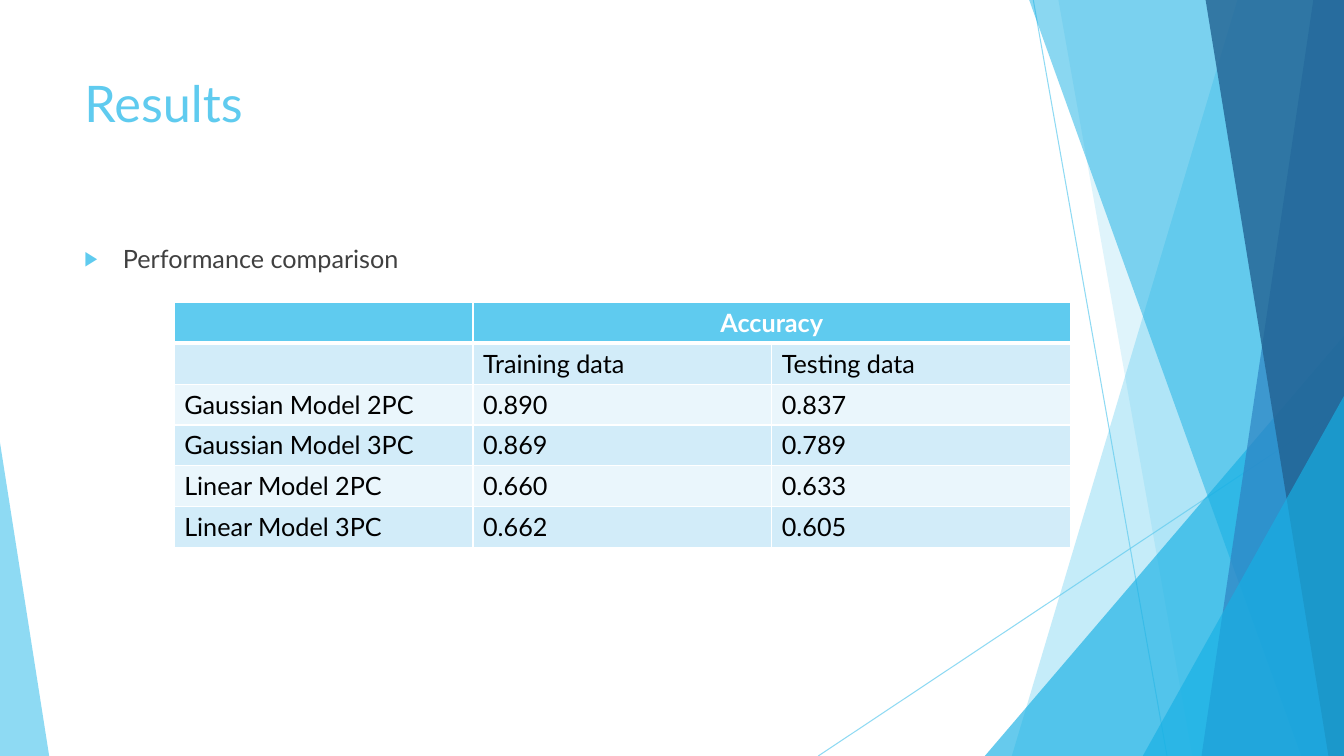
from lxml import etree
from pptx import Presentation
from pptx.dml.color import RGBColor
from pptx.enum.shapes import MSO_CONNECTOR, MSO_SHAPE
from pptx.enum.text import PP_ALIGN
from pptx.oxml.ns import qn
from pptx.util import Cm, Pt

STRAIGHT = MSO_CONNECTOR.STRAIGHT
TRIANGLE = MSO_SHAPE.ISOSCELES_TRIANGLE
CENTER = PP_ALIGN.CENTER

SKY = RGBColor(0x5F, 0xCB, 0xEF)
CYAN = RGBColor(0x17, 0xB0, 0xE4)
BLUE = RGBColor(0x2E, 0x83, 0xC3)
NAVY = RGBColor(0x22, 0x62, 0x92)
BAND_DARK = RGBColor(0xD2, 0xEC, 0xF9)
BAND_LIGHT = RGBColor(0xEA, 0xF6, 0xFC)
GRAY = RGBColor(0x40, 0x40, 0x40)
BLACK = RGBColor(0, 0, 0)
WHITE = RGBColor(255, 255, 255)

FONT = "Lato"
WIDTH, HEIGHT = 33.87, 19.05
BAND_TOP = -0.02

ROWS = [
    ("", "Accuracy", ""),
    ("", "Training data", "Testing data"),
    ("Gaussian Model 2PC", "0.890", "0.837"),
    ("Gaussian Model 3PC", "0.869", "0.789"),
    ("Linear Model 2PC", "0.660", "0.633"),
    ("Linear Model 3PC", "0.662", "0.605"),
]


def set_opacity(fill, percent):
    color = fill._xPr.find(qn("a:solidFill"))[0]
    etree.SubElement(color, qn("a:alpha"), val=str(percent * 1000))


def paint(shape, color, opacity):
    shape.shadow.inherit = False
    shape.fill.solid()
    shape.fill.fore_color.rgb = color
    set_opacity(shape.fill, opacity)
    shape.line.fill.background()


def add_band(slide, top_x, bottom_x, color, opacity):
    """Fill from a slanted left edge to the right side of the slide."""
    builder = slide.shapes.build_freeform(Cm(top_x), Cm(BAND_TOP))
    corners = [(WIDTH, BAND_TOP), (WIDTH, HEIGHT), (bottom_x, HEIGHT)]
    builder.add_line_segments([(Cm(x), Cm(y)) for x, y in corners])
    paint(builder.convert_to_shape(), color, opacity)


def add_triangle(slide, left, top, width, apex, color, opacity):
    """Add a triangle that stands on the bottom edge of the slide."""
    shape = slide.shapes.add_shape(
        TRIANGLE, Cm(left), Cm(top), Cm(width), Cm(HEIGHT - top))
    shape.adjustments[0] = apex
    paint(shape, color, opacity)


def add_thin_line(slide, x1, y1, x2, y2):
    connector = slide.shapes.add_connector(
        STRAIGHT, Cm(x1), Cm(y1), Cm(x2), Cm(y2))
    connector.line.width = Pt(0.75)
    connector.line.color.rgb = SKY
    set_opacity(connector.line.fill, 70)
    etree.SubElement(connector._element.spPr, qn("a:effectLst"))


def add_run(paragraph, text, size, color, bold=False):
    run = paragraph.add_run()
    run.text = text
    run.font.name = FONT
    run.font.size = Pt(size)
    run.font.bold = bold
    run.font.color.rgb = color


def add_text(slide, top, height, text, size, color):
    box = slide.shapes.add_textbox(Cm(1.88), Cm(top), Cm(23.88), Cm(height))
    box.text_frame.word_wrap = True
    paragraph = box.text_frame.paragraphs[0]
    add_run(paragraph, text, size, color)
    return paragraph


def add_bullet(paragraph):
    paragraph.space_before = Pt(10)
    properties = paragraph._p.get_or_add_pPr()
    properties.set("marL", str(Cm(0.97)))
    properties.set("indent", str(-Cm(0.97)))
    color = etree.SubElement(properties, qn("a:buClr"))
    etree.SubElement(color, qn("a:srgbClr"), val=str(SKY))
    etree.SubElement(properties, qn("a:buSzPct"), val="80000")
    etree.SubElement(properties, qn("a:buFont"), typeface=FONT)
    etree.SubElement(properties, qn("a:buChar"), char="▶")


def set_borders(cell, widths):
    properties = cell._tc.get_or_add_tcPr()
    for side, width in widths.items():
        line = etree.SubElement(properties, qn(f"a:ln{side}"), w=str(Pt(width)))
        fill = etree.SubElement(line, qn("a:solidFill"))
        etree.SubElement(fill, qn("a:srgbClr"), val=str(WHITE))


def add_results_table(slide):
    table = slide.shapes.add_table(
        len(ROWS), 3, Cm(4.39), Cm(7.62), Cm(22.59), Cm(6.18)).table
    for column in table.columns:
        column.width = Cm(7.53)
    for row_index, values in enumerate(ROWS):
        header = row_index == 0
        band = BAND_DARK if row_index % 2 else BAND_LIGHT
        table.rows[row_index].height = Cm(1.03)
        for column_index, text in enumerate(values):
            cell = table.cell(row_index, column_index)
            set_borders(cell, {"L": 1, "R": 1, "T": 3 if row_index == 1 else 1,
                               "B": 3 if header else 1})
            cell.fill.solid()
            cell.fill.fore_color.rgb = SKY if header else band
            if text:
                add_run(cell.text_frame.paragraphs[0], text, 18,
                        WHITE if header else BLACK, header)
    accuracy = table.cell(0, 1)
    accuracy.merge(table.cell(0, 2))
    accuracy.text_frame.paragraphs[0].alignment = CENTER


def add_decoration(slide):
    add_thin_line(slide, 26.04, 0, 29.41, HEIGHT)
    add_thin_line(slide, WIDTH, 10.24, 20.62, HEIGHT)
    add_band(slide, 31.19, 25.5, SKY, 36)
    add_band(slide, 26.67, 30.05, SKY, 20)
    add_triangle(slide, 24.82, 8.46, 9.05, 1, CYAN, 66)
    add_band(slide, 25.93, 32.79, CYAN, 50)
    add_band(slide, 33.1, 30.28, BLUE, 70)
    add_band(slide, 30.38, 33.48, NAVY, 80)
    add_triangle(slide, 28.8, 9.98, 5.07, 1, CYAN, 66)
    add_triangle(slide, 0, 11.15, 1.24, 0, SKY, 70)


def main():
    presentation = Presentation()
    presentation.slide_width = Cm(WIDTH)
    presentation.slide_height = Cm(HEIGHT)
    slide = presentation.slides.add_slide(presentation.slide_layouts[6])
    add_decoration(slide)
    add_text(slide, 1.7, 3.66, "Results", 36, SKY)
    add_bullet(add_text(slide, 6, 10.77, "Performance comparison", 18, GRAY))
    add_results_table(slide)
    presentation.save("out.pptx")


if __name__ == "__main__":
    main()
